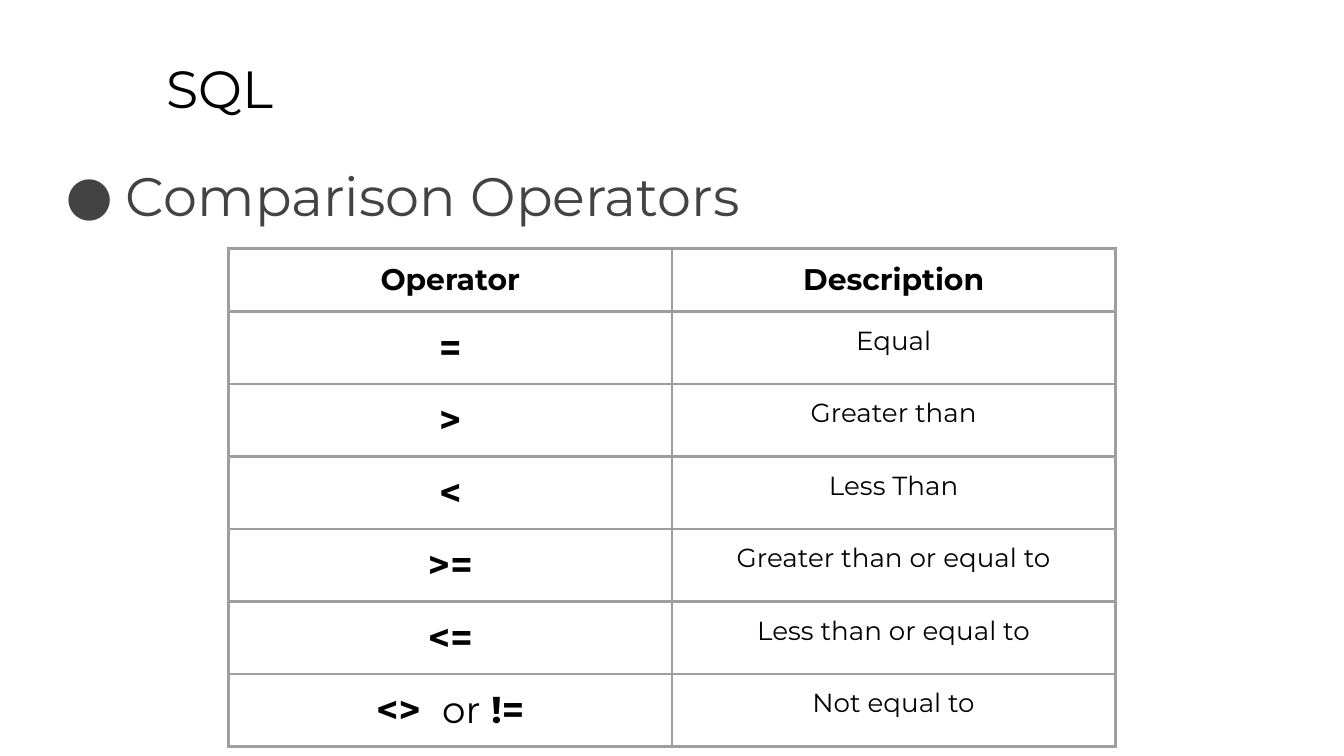
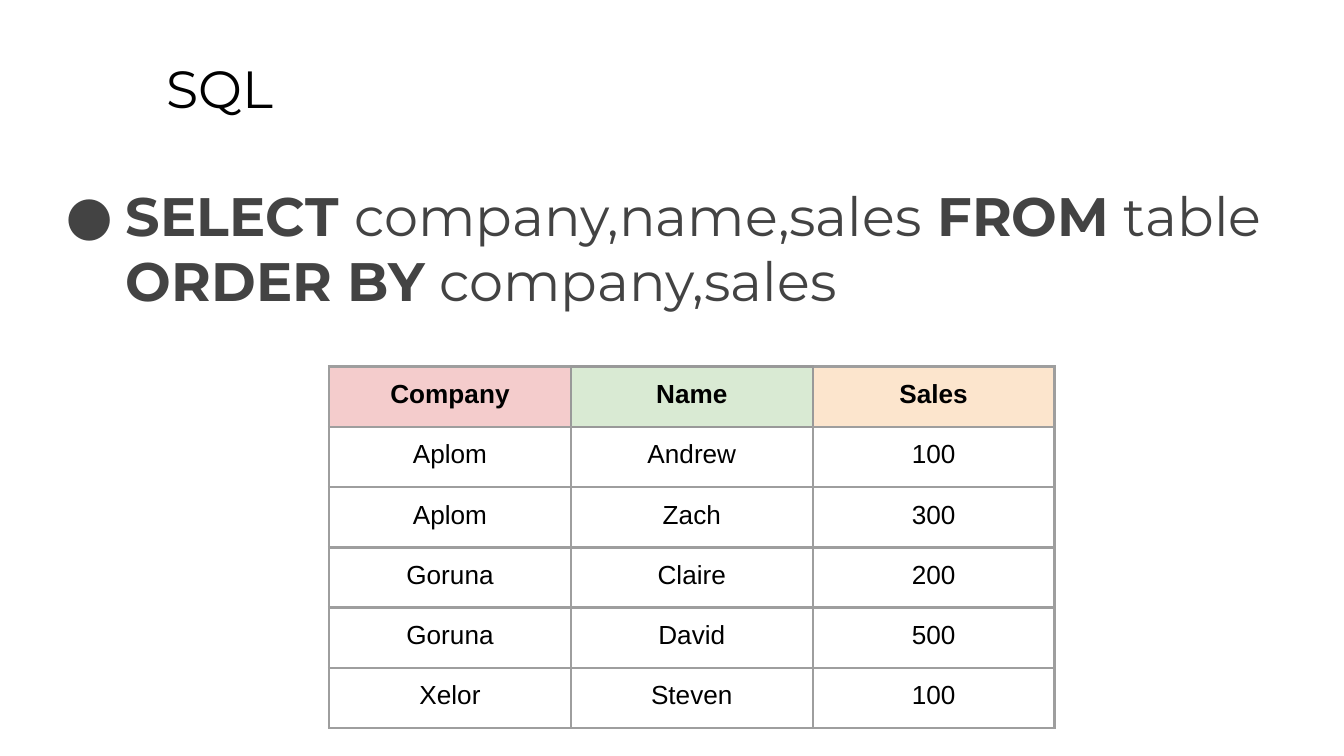
from dataclasses import dataclass, field
from typing import NamedTuple, Optional

import lxml.etree
import pptx
import pptx.dml.color
import pptx.enum.text
import pptx.oxml.ns
import pptx.util
from pptx.util import Cm

COLOURS = {
    "title": "000000",
    "body": "434343",
    "paper": "FFFFFF",
    "edge": "9E9E9E",
    "accent edge": "999999",
    "company": "F4CCCC",
    "name": "D9EAD3",
    "sales": "FCE5CD",
}
HEADING_FONT = "Montserrat"
INSET = Cm(0.25)
EDGE_WIDTH = pptx.util.Pt(1.5)
HANGING = Cm(1.27)
BULLET_OFFSET = Cm(-1.14)
# Row and column step from a cell to its neighbour across each side
SIDES = {"lnL": (0, -1), "lnR": (0, 1), "lnT": (-1, 0), "lnB": (1, 0)}


class Piece(NamedTuple):
    text: str
    bold: bool = False


class Style(NamedTuple):
    size: float
    font: str
    colour: str


class Entry(NamedTuple):
    """One table cell."""
    pieces: list[Piece]
    size: float
    fill: str = "paper"


class Box(NamedTuple):
    left: float
    top: float
    width: float
    height: float


@dataclass
class Grid:
    left: float
    top: float
    column_width: float
    row_heights: list[float]
    font: str
    entries: list[list[Entry]]
    accent: Optional[tuple[int, int]] = None


@dataclass
class Lesson:
    """One slide: bulleted first line, further lines aligned below it."""
    body_top: float
    grid: Grid
    lines: list[list[Piece]] = field(default_factory=list)


TITLE_BOX = Box(2.9, 0.81, 21.64, 1.6)
TITLE_STYLE = Style(28, HEADING_FONT, "title")
BODY_STYLE = Style(29, HEADING_FONT, "body")

COMPARISONS = [
    ([Piece("=", True)], "Equal"),
    ([Piece(">", True)], "Greater than"),
    ([Piece("<", True)], "Less Than"),
    ([Piece(">=", True)], "Greater than or equal to"),
    ([Piece("<=", True)], "Less than or equal to"),
    ([Piece("<>  ", True), Piece("or"), Piece(" !=", True)], "Not equal to"),
]
SALES = [
    ("Aplom", "Andrew", "100"),
    ("Aplom", "Zach", "300"),
    ("Goruna", "Claire", "200"),
    ("Goruna", "David", "500"),
    ("Xelor", "Steven", "100"),
]

operator_grid = Grid(
    4.32, 4.7, 8.38, [1.19] + [1.37] * len(COMPARISONS), HEADING_FONT,
    [[Entry([Piece(heading, True)], 16) for heading in ("Operator", "Description")]]
    + [[Entry(operator, 20), Entry([Piece(meaning)], 14)]
       for operator, meaning in COMPARISONS],
)
sales_grid = Grid(
    6.22, 6.93, 4.57, [1.14] * (len(SALES) + 1), "Arial",
    [[Entry([Piece(heading, True)], 14, heading.lower())
      for heading in ("Company", "Name", "Sales")]]
    + [[Entry([Piece(value)], 14) for value in sale] for sale in SALES],
    accent=(0, 1),
)
LESSONS = [
    Lesson(2.82, operator_grid, [[Piece("Comparison Operators")]]),
    Lesson(3.2, sales_grid, [
        [Piece("SELECT ", True), Piece("company,name,sales"),
         Piece(" FROM", True), Piece(" table")],
        [Piece("ORDER BY", True), Piece(" company,sales")],
    ]),
]


def rgb(name: str) -> pptx.dml.color.RGBColor:
    return pptx.dml.color.RGBColor.from_string(COLOURS[name])


def add_child(parent, tag: str, **attributes):
    child = lxml.etree.SubElement(parent, pptx.oxml.ns.qn(tag))
    for key, value in attributes.items():
        child.set(key, str(value))
    return child


def add_solid_fill(parent, tag: str, colour: str) -> None:
    add_child(add_child(parent, tag), "a:srgbClr", val=COLOURS[colour])


def write_pieces(paragraph, pieces: list[Piece], style: Style) -> None:
    paragraph.text = pieces[0].text
    for piece in pieces[1:]:
        paragraph.add_run().text = piece.text
    for run, piece in zip(paragraph.runs, pieces):
        run.font.size = pptx.util.Pt(style.size)
        run.font.name = style.font
        run.font.bold = piece.bold
        run.font.color.rgb = rgb(style.colour)


def set_insets(holder) -> None:
    holder.margin_left = holder.margin_right = INSET
    holder.margin_top = holder.margin_bottom = INSET


def indent(paragraph, bulleted: bool) -> None:
    properties = paragraph._p.get_or_add_pPr()
    properties.set("marL", str(HANGING))
    properties.set("indent", str(BULLET_OFFSET if bulleted else 0))
    if bulleted:
        add_solid_fill(properties, "a:buClr", "body")
        add_child(properties, "a:buFont", typeface=HEADING_FONT)
        add_child(properties, "a:buChar", char="●")
    else:
        add_child(properties, "a:buNone")


def add_text(slide, box: Box, lines: list[list[Piece]], style: Style):
    frame = slide.shapes.add_textbox(*map(Cm, box)).text_frame
    frame.word_wrap = True
    set_insets(frame)
    for number, pieces in enumerate(lines):
        paragraph = frame.add_paragraph() if number else frame.paragraphs[0]
        write_pieces(paragraph, pieces, style)
    return frame


def draw_edges(cell, row: int, column: int, accent: Optional[tuple[int, int]]) -> None:
    """Outline a cell; the sides shared with the accent cell take its colour."""
    properties = cell._tc.get_or_add_tcPr()
    for side, (down, across) in SIDES.items():
        touching = {(row, column), (row + down, column + across)}
        line = add_child(properties, f"a:{side}", w=EDGE_WIDTH)
        add_solid_fill(line, "a:solidFill",
                       "accent edge" if accent in touching else "edge")


def add_grid(slide, grid: Grid) -> None:
    column_count = len(grid.entries[0])
    table = slide.shapes.add_table(
        len(grid.entries), column_count, Cm(grid.left), Cm(grid.top),
        Cm(grid.column_width * column_count), Cm(sum(grid.row_heights))).table
    table.first_row = table.horz_banding = False
    for table_column in table.columns:
        table_column.width = Cm(grid.column_width)
    for row, entries in enumerate(grid.entries):
        table.rows[row].height = Cm(grid.row_heights[row])
        for column, entry in enumerate(entries):
            cell = table.cell(row, column)
            set_insets(cell)
            draw_edges(cell, row, column, grid.accent)
            cell.fill.solid()
            cell.fill.fore_color.rgb = rgb(entry.fill)
            paragraph = cell.text_frame.paragraphs[0]
            paragraph.alignment = pptx.enum.text.PP_ALIGN.CENTER
            write_pieces(paragraph, entry.pieces, Style(entry.size, grid.font, "title"))


def add_lesson(deck, lesson: Lesson) -> None:
    slide = deck.slides.add_slide(deck.slide_layouts[6])
    slide.background.fill.solid()
    slide.background.fill.fore_color.rgb = rgb("paper")
    add_text(slide, TITLE_BOX, [[Piece("SQL")]], TITLE_STYLE)
    body = add_text(slide, Box(0.86, lesson.body_top, 24.13, 9.5),
                    lesson.lines, BODY_STYLE)
    for number, paragraph in enumerate(body.paragraphs):
        indent(paragraph, bulleted=number == 0)
    add_grid(slide, lesson.grid)


def main() -> None:
    deck = pptx.Presentation()
    deck.slide_width, deck.slide_height = Cm(25.4), Cm(14.29)
    for lesson in LESSONS:
        add_lesson(deck, lesson)
    deck.save("out.pptx")


if __name__ == "__main__":
    main()
